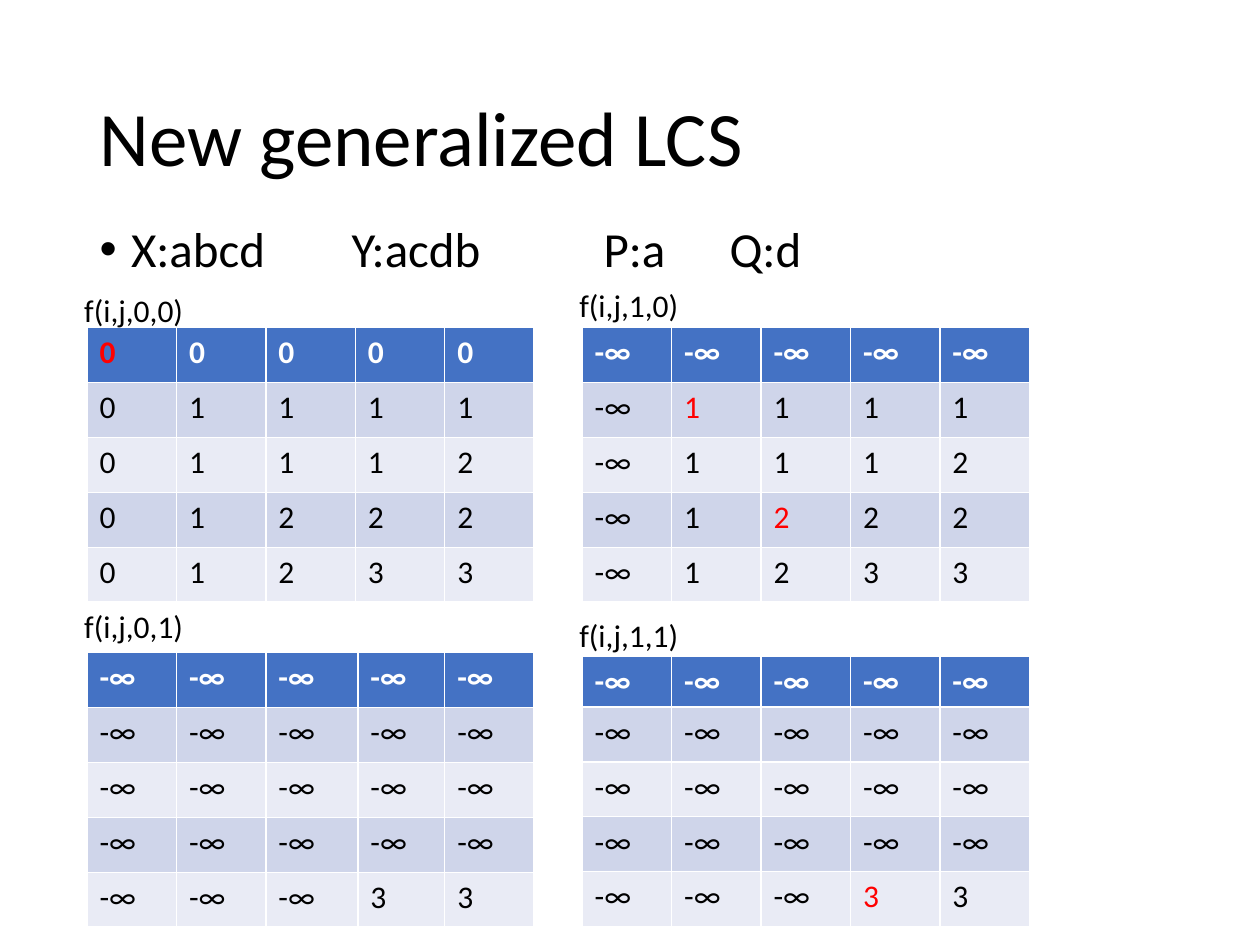
from pptx import Presentation
from pptx.dml.color import RGBColor
from pptx.enum.text import MSO_ANCHOR, PP_ALIGN
from pptx.oxml import parse_xml
from pptx.oxml.ns import nsdecls
from pptx.util import Inches, Pt


def add_run(p, text, size, color="000000", bold=False):
    r = p.add_run()
    r.text = text
    r.font.name = "Calibri"
    r.font.size = Pt(size)
    r.font.bold = bold
    r.font.color.rgb = RGBColor.from_string(color)


prs = Presentation()
prs.slide_width, prs.slide_height = Inches(10), Inches(7.5)
s = prs.slides.add_slide(prs.slide_layouts[1])

LEFT, COL, ROW, STEP = 0.69, 0.71, 0.436, 3.93
HEADER, BANDS = "4472C4", ("E9EBF5", "CFD5EA")

title, body = s.placeholders
for sp, top, height in ((title, 0.4, 1.45), (body, 1.74, 5.01)):
    sp.left, sp.top = Inches(LEFT), Inches(top)
    sp.width, sp.height = Inches(10 - 2 * LEFT), Inches(height)

title.text_frame.vertical_anchor = MSO_ANCHOR.MIDDLE
p = title.text_frame.paragraphs[0]
p.alignment = PP_ALIGN.LEFT
p.line_spacing = 0.9
add_run(p, "New generalized LCS", 44)

p = body.text_frame.paragraphs[0]
p.line_spacing = 0.9
p.space_before = Pt(0)
pPr = p._p.get_or_add_pPr()
pPr.set("marL", str(Inches(0.25)))
pPr.set("indent", str(-Inches(0.25)))
pPr.append(parse_xml(f'<a:buFont {nsdecls("a")} typeface="Arial"/>'))
pPr.append(parse_xml(f'<a:buChar {nsdecls("a")} char="•"/>'))
stops = "".join(f'<a:tab pos="{Inches(x)}" algn="l"/>' for x in (2, 4, 5))
pPr.append(parse_xml(f'<a:tabLst {nsdecls("a")}>{stops}</a:tabLst>'))
add_run(p, "X:abcd\tY:acdb\tP:a\tQ:d", 28)

EMPTY = ["-∞ -∞ -∞ -∞ -∞"] * 4 + ["-∞ -∞ -∞ 3 3"]
EVEN = [COL] * 5
grids = [
    ("f(i,j,0,0)", 0, 2.26, 2.6, ROW, EVEN, [(0, 0)],
     ["0 0 0 0 0", "0 1 1 1 1", "0 1 1 1 2", "0 1 2 2 2", "0 1 2 3 3"]),
    ("f(i,j,1,0)", 1, 2.22, 2.6, ROW, EVEN, [(1, 1), (3, 2)],
     ["-∞ -∞ -∞ -∞ -∞", "-∞ 1 1 1 1", "-∞ 1 1 1 2", "-∞ 1 2 2 2", "-∞ 1 2 3 3"]),
    ("f(i,j,0,1)", 0, 4.77, 5.18, ROW, [COL, COL, 0.73, 0.69, COL], [], EMPTY),
    ("f(i,j,1,1)", 1, 4.84, 5.21, 0.4, EVEN, [(4, 3)], EMPTY),
]

for label, side, label_top, top, head_height, widths, path_cells, rows in grids:
    left = LEFT + side * STEP
    table = s.shapes.add_table(5, 5, Inches(left), Inches(top), Inches(5 * COL),
                               Inches(head_height + 4 * ROW)).table
    for c, width in enumerate(widths):
        table.columns[c].width = Inches(width)
    for r, line in enumerate(rows):
        table.rows[r].height = Inches(ROW if r else head_height)
        for c, value in enumerate(line.split()):
            cell = table.cell(r, c)
            cell.fill.solid()
            cell.fill.fore_color.rgb = RGBColor.from_string(BANDS[r % 2] if r else HEADER)
            color = "FF0000" if (r, c) in path_cells else "000000" if r else "FFFFFF"
            add_run(cell.text_frame.paragraphs[0], value, 18, color, r == 0)

    tf = s.shapes.add_textbox(Inches(left - 0.12), Inches(label_top), Inches(1), Inches(0.4)).text_frame
    tf.word_wrap = False
    add_run(tf.paragraphs[0], label, 18)

prs.save("out.pptx")
